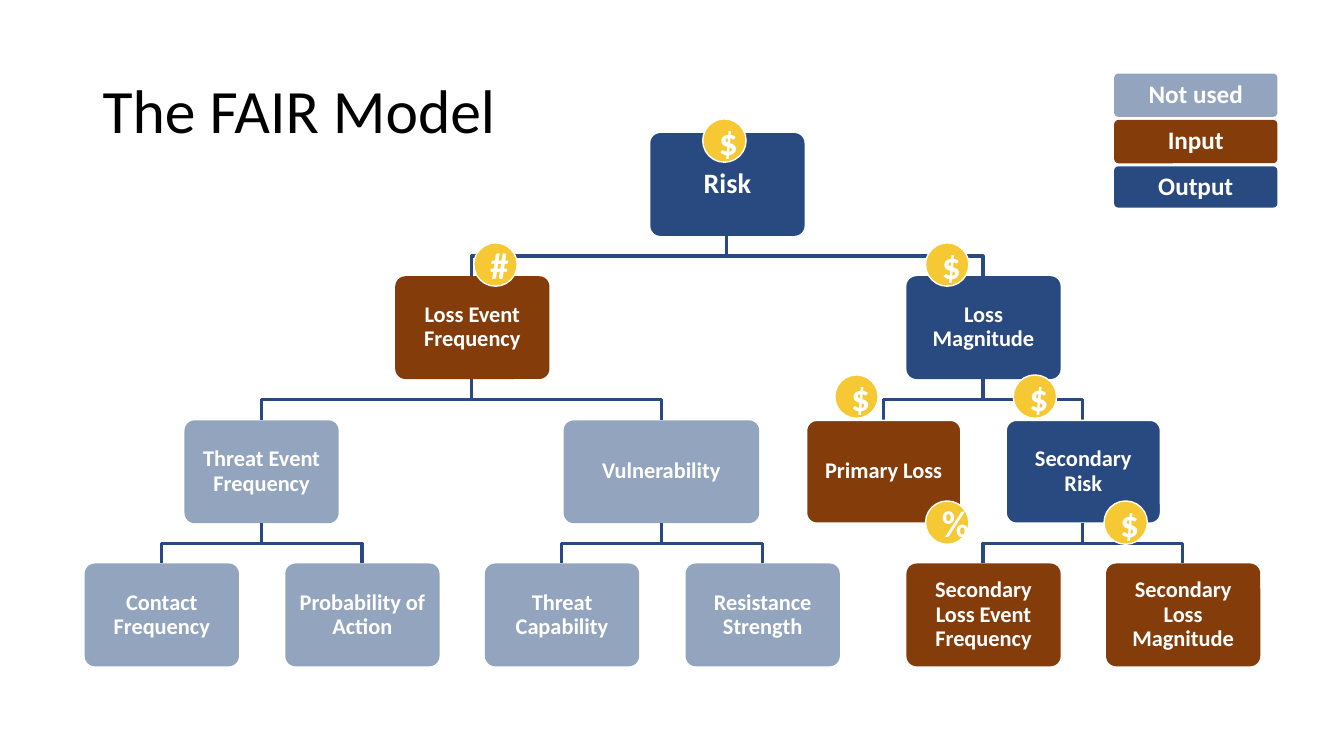
from lxml.etree import SubElement
from pptx import Presentation
from pptx.dml.color import RGBColor
from pptx.enum.shapes import MSO_SHAPE
from pptx.enum.text import MSO_ANCHOR, PP_ALIGN
from pptx.oxml.ns import qn
from pptx.util import Pt

PX = 9144
HUES = {"navy": "294A80", "rust": "843C0B", "gold": "F5C834",
        "white": "FFFFFF", "black": "000000"}
KINDS = {"output": ("navy", None), "input": ("rust", None), "unused": ("navy", 50)}
NODE_W, NODE_H = 153, 102
ROWS = (0, 142, 285, 427)
BADGE = 43

TREE = ("Risk", 637, "output", [
    ("Loss Event Frequency", 384, "input", [
        ("Threat Event Frequency", 175, "unused", [
            ("Contact Frequency", 76, "unused", []),
            ("Probability of Action", 275, "unused", [])]),
        ("Vulnerability", 572, "unused", [
            ("Threat Capability", 473, "unused", []),
            ("Resistance Strength", 672, "unused", [])])]),
    ("Loss Magnitude", 891, "output", [
        ("Primary Loss", 792, "input", []),
        ("Secondary Risk", 990, "output", [
            ("Secondary Loss Event Frequency", 891, "input", []),
            ("Secondary Loss Magnitude", 1089, "input", [])])])])
WIDTHS = {"Vulnerability": 194}
RIMMED = ("Primary Loss", "Secondary Risk")
BADGES = [("#", 386, 109), ("%", 834, 365), ("$", 1011, 365), ("$", 921, 240),
          ("$", 744, 240), ("$", 834, 109), ("$", 613, -14)]
LEGEND = [("Not used", "unused", 0, 43), ("Input", "input", 46, 43),
          ("Output", "output", 92, 41)]


def hue(name):
    return RGBColor.from_string(HUES[name])


def write(shape, text, size, color="white", bold=True,
          align=PP_ALIGN.CENTER, space=0.9):
    frame = shape.text_frame
    frame.text = text
    frame.word_wrap = True
    frame.vertical_anchor = MSO_ANCHOR.MIDDLE
    line = frame.paragraphs[0]
    line.alignment = align
    line.line_spacing = space
    font = line.runs[0].font
    font.name, font.size, font.bold = "Calibri", Pt(size), bold
    font.color.rgb = hue(color)


def draw(slide, form, box, fill, alpha=None, rim=False):
    shape = slide.shapes.add_shape(form, *(v * PX for v in box))
    shape.shadow.inherit = False
    shape.fill.solid()
    shape.fill.fore_color.rgb = hue(fill)
    if alpha:
        tone = shape.fill._xPr.find(qn("a:solidFill"))[0]
        SubElement(tone, qn("a:alpha"), val=str(alpha * 1000))
    if rim:
        shape.line.color.rgb = hue("white")
        shape.line.width = Pt(1)
    else:
        shape.line.fill.background()
    return shape


def card(slide, box, text, kind, size, rim=False):
    shape = draw(slide, MSO_SHAPE.ROUNDED_RECTANGLE, box, *KINDS[kind], rim)
    shape.adjustments[0] = 0.1
    frame = shape.text_frame
    frame.margin_left = frame.margin_right = 10 * PX
    frame.margin_top = frame.margin_bottom = 4 * PX
    write(shape, text, size)


def link(slide, x1, y1, x2, y2):
    mid = (y1 + y2) // 2
    pen = slide.shapes.build_freeform(x1, y1, scale=PX)
    pen.add_line_segments([(x1, mid), (x2, mid), (x2, y2)], close=False)
    shape = pen.convert_to_shape()
    shape.shadow.inherit = False
    shape.fill.background()
    shape.line.color.rgb = hue("navy")
    shape.line.width = Pt(2.25)


def branch(slide, x, y, node, level=0):
    name, mid, kind, kids = node
    wide = WIDTHS.get(name, NODE_W)
    top = y + ROWS[level]
    card(slide, (x + mid - wide // 2, top, wide, NODE_H), name, kind,
         16 if level else 20, name in RIMMED)
    for kid in kids:
        link(slide, x + mid, top + NODE_H, x + kid[1], y + ROWS[level + 1])
        branch(slide, x, y, kid, level + 1)


def badges(slide, x, y):
    for sign, left, top in BADGES:
        dot = draw(slide, MSO_SHAPE.OVAL, (x + left, y + top, BADGE, BADGE),
                   "gold", rim=True)
        write(dot, sign, 26.7, space=1.0)


def title(slide, x, y, w, h):
    box = slide.shapes.add_textbox(x * PX, y * PX, w * PX, h * PX)
    write(box, "The FAIR Model", 44, "black", False, PP_ALIGN.LEFT)


def legend(slide, x, y, w):
    for text, kind, top, high in LEGEND:
        card(slide, (x, y + top, w, high), text, kind, 18)


def main():
    deck = Presentation()
    deck.slide_width, deck.slide_height = 1333 * PX, 750 * PX
    slide = deck.slides.add_slide(deck.slide_layouts[6])
    branch(slide, 84, 132, TREE)
    badges(slide, 84, 132)
    title(slide, 92, 40, 1150, 145)
    legend(slide, 1105, 73, 162)
    deck.save("out.pptx")


if __name__ == "__main__":
    main()
